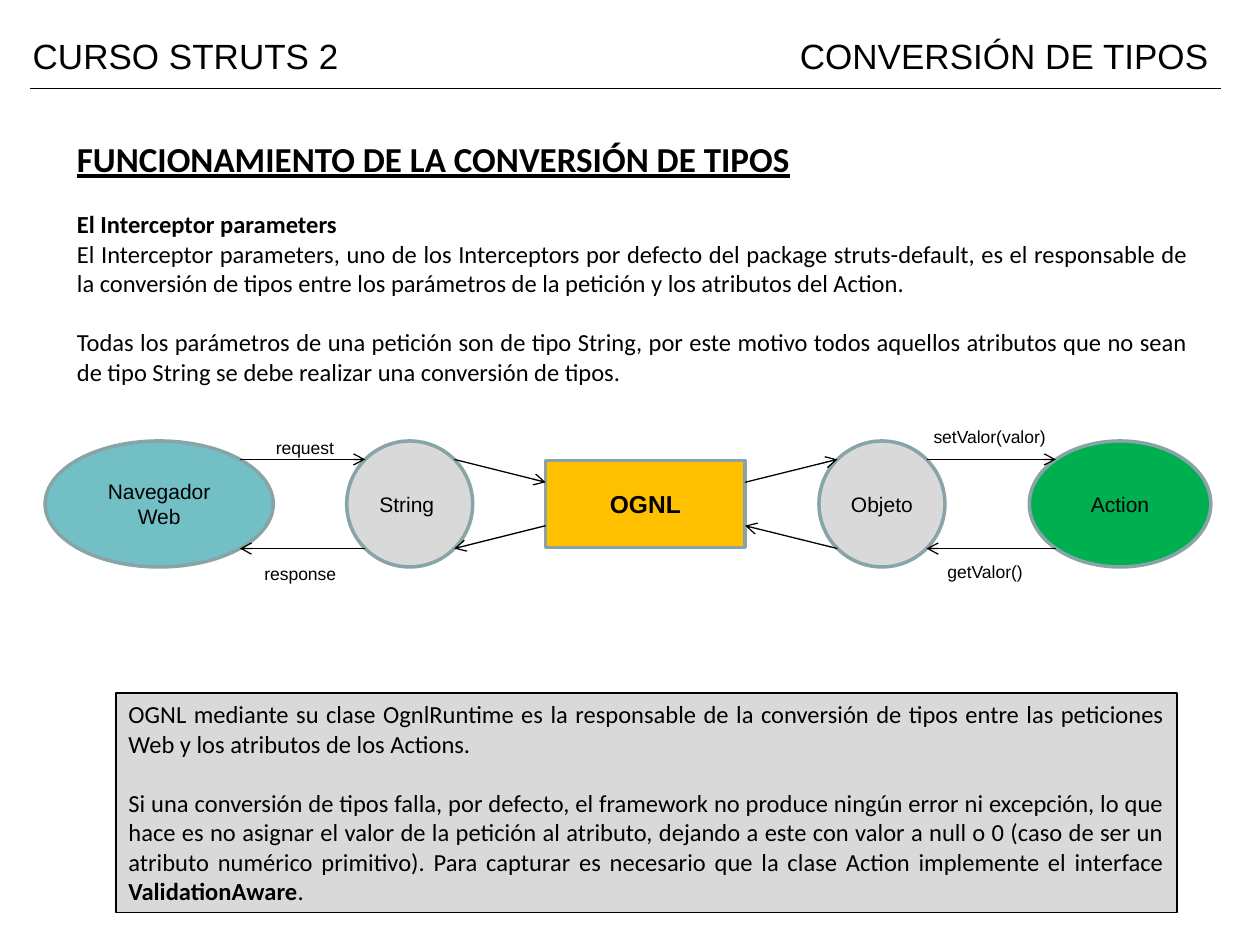
from dataclasses import dataclass
from math import sqrt

from lxml.etree import SubElement
from pptx import Presentation
from pptx.dml.color import RGBColor
from pptx.enum.shapes import MSO_CONNECTOR, MSO_SHAPE
from pptx.enum.text import MSO_ANCHOR, MSO_AUTO_SIZE, PP_ALIGN
from pptx.oxml.ns import qn
from pptx.util import Cm, Pt


@dataclass(frozen=True)
class Theme:
    heading_font: str = "Arial"
    body_font: str = "Calibri"
    ink: str = "000000"
    outline: str = "89A4A7"
    grey: str = "D9D9D9"
    teal: str = "72BFC5"
    amber: str = "FFC000"
    green: str = "00B050"
    title_size: float = 20
    body_size: float = 14
    node_size: float = 12
    label_size: float = 10
    thin: float = 0.75
    thick: float = 2


@dataclass(frozen=True)
class Node:
    """A step of the flow, centred on the flow axis; lengths in cm."""
    text: str
    center: float
    width: float
    height: float
    fill: str
    round: bool = True
    inset: float = 0.25

    def port(self, side, level):
        """Joint on the right (1) or left (-1), above (-1) or below (1) the axis."""
        across, along = (sqrt(0.5), sqrt(0.5)) if self.round else (1, 0.5)
        return (self.center + side * across * self.width / 2,
                FLOW_AXIS + level * along * self.height / 2)


class SlideBuilder:
    def __init__(self, page, theme):
        self.page = page
        self.theme = theme

    def fill_text(self, box, paragraphs, font, size, align=PP_ALIGN.LEFT,
                  anchor=MSO_ANCHOR.TOP, wrap=True, inset=0.25):
        """Paragraphs are (spans, space before); spans are (text, format)."""
        frame = box.text_frame
        settings = {"word_wrap": wrap, "auto_size": MSO_AUTO_SIZE.NONE,
                    "vertical_anchor": anchor,
                    "margin_left": Cm(inset), "margin_right": Cm(inset),
                    "margin_top": Cm(0.13), "margin_bottom": Cm(0.13)}
        for name, value in settings.items():
            setattr(frame, name, value)
        for index, (spans, gap) in enumerate(paragraphs):
            para = frame.add_paragraph() if index else frame.paragraphs[0]
            para.alignment = align
            para.space_before = Pt(gap)
            for text, extra in spans:
                span = para.add_run()
                span.text = text
                formats = {"name": font, "size": Pt(size), "bold": False} | extra
                for name, value in formats.items():
                    setattr(span.font, name, value)
                span.font.color.rgb = RGBColor.from_string(self.theme.ink)

    def place(self, box, left, top, width, height):
        box.left, box.top, box.width, box.height = map(Cm, (left, top, width, height))

    def title(self, text, *bounds):
        box = self.page.shapes.title
        self.place(box, *bounds)
        self.fill_text(box, [([(text, {})], 0)], self.theme.heading_font,
                       self.theme.title_size, PP_ALIGN.RIGHT, MSO_ANCHOR.MIDDLE)

    def body(self, paragraphs, *bounds):
        box = self.page.placeholders[1]
        self.place(box, *bounds)
        self.fill_text(box, paragraphs, self.theme.body_font, self.theme.body_size,
                       PP_ALIGN.JUSTIFY)
        for para in box.text_frame.paragraphs:
            properties = para._p.get_or_add_pPr()
            properties.set("marL", "0")
            properties.set("indent", "0")
            SubElement(properties, qn("a:buNone"))

    def label(self, text, bounds, size, **layout):
        box = self.page.shapes.add_textbox(*map(Cm, bounds))
        self.fill_text(box, [([(text, {})], 0)], self.theme.heading_font, size, **layout)

    def panel(self, kind, bounds, fill, line, weight):
        box = self.page.shapes.add_shape(kind, *map(Cm, bounds))
        box.shadow.inherit = False
        box.fill.solid()
        box.fill.fore_color.rgb = RGBColor.from_string(fill)
        box.line.color.rgb = RGBColor.from_string(line)
        box.line.width = Pt(weight)
        return box

    def node(self, node):
        kind = MSO_SHAPE.OVAL if node.round else MSO_SHAPE.RECTANGLE
        bounds = (node.center - node.width / 2, FLOW_AXIS - node.height / 2,
                  node.width, node.height)
        box = self.panel(kind, bounds, node.fill, self.theme.outline, self.theme.thick)
        size = self.theme.node_size if node.round else self.theme.body_size
        self.fill_text(box, [([(node.text, {"bold": not node.round})], 0)],
                       self.theme.heading_font, size, PP_ALIGN.CENTER,
                       MSO_ANCHOR.MIDDLE, inset=node.inset)

    def note(self, paragraphs, *bounds):
        box = self.panel(MSO_SHAPE.RECTANGLE, bounds, self.theme.grey,
                         self.theme.ink, self.theme.thin)
        self.fill_text(box, paragraphs, self.theme.body_font, self.theme.body_size,
                       PP_ALIGN.JUSTIFY)

    def line(self, start, end, arrow=False):
        connector = self.page.shapes.add_connector(
            MSO_CONNECTOR.STRAIGHT, *map(Cm, (*start, *end)))
        connector.line.color.rgb = RGBColor.from_string(self.theme.ink)
        connector.line.width = Pt(self.theme.thin)
        if arrow:
            SubElement(connector.line._get_or_add_ln(), qn("a:tailEnd"), type="arrow")
        SubElement(connector._element.spPr, qn("a:effectLst"))


FLOW_AXIS = 10.16
LINE_GAP = 17  # one line of body text, in points
THEME = Theme()

NODES = [
    Node("Navegador Web", 3.21, 4.6, 2.54, THEME.teal),
    Node("String ", 8.26, 2.54, 2.54, THEME.grey),
    Node("OGNL", 13.01, 4.02, 1.75, THEME.amber, round=False),
    Node("Objeto", 17.78, 2.54, 2.54, THEME.grey, inset=0),
    Node("Action", 22.58, 3.66, 2.54, THEME.green),
]

LABELS = [
    ("request", (5.31, 8.69, 1.68, 0.69)),
    ("setValor(valor)", (18.57, 8.46, 2.79, 0.69)),
    ("response", (5.08, 11.23, 1.96, 0.69)),
    ("getValor()", (18.85, 11.18, 2.06, 0.69)),
]

BODY = [
    ([("FUNCIONAMIENTO DE LA CONVERSIÓN DE TIPOS",
       {"size": Pt(THEME.title_size), "bold": True, "underline": True})], 0),
    ([("El Interceptor parameters", {"bold": True})], LINE_GAP),
    ([("El Interceptor parameters, uno de los Interceptors por defecto del package "
       "struts-default, es el responsable de la conversión de tipos entre los "
       "parámetros de la petición y los atributos del Action.", {})], 0),
    ([("Todas los parámetros de una petición son de tipo String, por este motivo "
       "todos aquellos atributos que no sean de tipo String se debe realizar una "
       "conversión de tipos.", {})], LINE_GAP),
]

NOTE = [
    ([("OGNL mediante su clase OgnlRuntime es la responsable de la conversión de "
       "tipos entre las peticiones Web y los atributos de los Actions.", {})], 0),
    ([("Si una conversión de tipos falla, por defecto, el framework no produce "
       "ningún error ni excepción, lo que hace es no asignar el valor de la petición "
       "al atributo, dejando a este con valor a null o 0 (caso de ser un atributo "
       "numérico primitivo). Para capturar es necesario que la clase Action "
       "implemente el interface ", {}),
      ("ValidationAware", {"bold": True}), (".", {})], LINE_GAP),
]


def main():
    deck = Presentation()
    deck.slide_width, deck.slide_height = Cm(25.4), Cm(19.05)
    builder = SlideBuilder(deck.slides.add_slide(deck.slide_layouts[1]), THEME)

    # Header
    builder.title("CONVERSIÓN DE TIPOS", 12.98, 0.41, 11.63, 1.42)
    builder.label("CURSO STRUTS 2", (0.41, 0.41, 11.63, 1.42), THEME.title_size,
                  anchor=MSO_ANCHOR.MIDDLE)
    builder.line((0.6, 1.78), (24.61, 1.78))

    # Explanation
    builder.body(BODY, 1.3, 2.64, 22.91, 5.6)

    # Flow: requests run right above the axis, responses run left below it
    for node in NODES:
        builder.node(node)
    for left, right in zip(NODES, NODES[1:]):
        builder.line(left.port(1, -1), right.port(-1, -1), arrow=True)
        builder.line(right.port(-1, 1), left.port(1, 1), arrow=True)
    for text, bounds in LABELS:
        builder.label(text, bounds, THEME.label_size, wrap=False)

    # Closing note
    builder.note(NOTE, 2.34, 13.97, 21.39, 4.42)

    deck.save("out.pptx")


if __name__ == "__main__":
    main()
